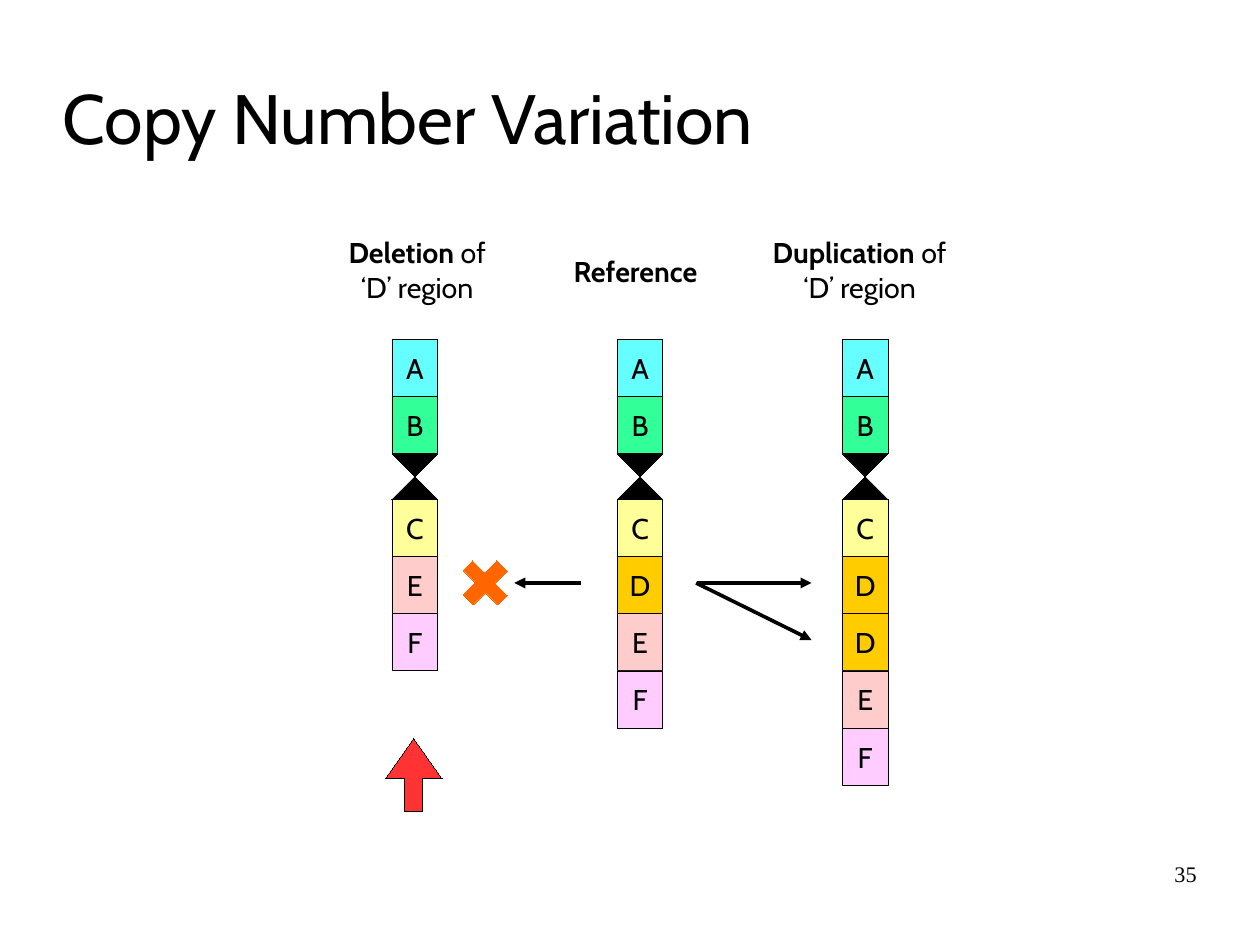
from dataclasses import dataclass

import pptx
import pptx.dml.color
import pptx.enum.shapes
import pptx.enum.text
import pptx.oxml
import pptx.oxml.ns
import pptx.util

Inches = pptx.util.Inches
Pt = pptx.util.Pt
Preset = pptx.enum.shapes.MSO_SHAPE
Align = pptx.enum.text.PP_ALIGN
Anchor = pptx.enum.text.MSO_ANCHOR

COLORS = {
    "ink": "000000", "deleted": "FF6600", "pointer": "FF3333",
    "A": "66FFFF", "B": "33FF99", "C": "FFFF99",
    "D": "FFCC00", "E": "FFCCCC", "F": "FFCCFF",
}
PADDING = {"margin_left": Inches(0.1), "margin_right": Inches(0.1),
           "margin_top": Inches(0.05), "margin_bottom": Inches(0.05)}
NO_PADDING = dict.fromkeys(PADDING, 0)
LABEL_FRAME = {**PADDING, "word_wrap": False}
REGION_FRAME = {**LABEL_FRAME, "vertical_anchor": Anchor.MIDDLE}
LABEL_FONT = {"name": "Cabin", "size": Pt(18), "bold": False}
BOLD_FONT = {**LABEL_FONT, "bold": True}

CM_PER_INCH = 2.54
SLIDE_WIDTH, SLIDE_HEIGHT = 28 / CM_PER_INCH, 21 / CM_PER_INCH
HAIRLINE = 0.01
CHROMOSOME_TOP = 2.97
REGION_WIDTH, REGION_HEIGHT = 0.4, 0.5
CENTROMERE_HALF = 0.2


@dataclass
class Box:
    left: float
    top: float
    width: float
    height: float

    def lengths(self) -> list:
        return [Inches(v) for v in (self.left, self.top, self.width, self.height)]


@dataclass
class Chromosome:
    left: float
    short_arm: str
    long_arm: str
    heading_box: Box
    heading: list  # lines, each a list of (text, font format) runs


@dataclass
class Arrow:
    start: tuple
    end: tuple


REGION_LINE = [("‘D’ region", LABEL_FONT)]
CHROMOSOMES = [
    Chromosome(3.43, "AB", "CEF", Box(2.95, 2.01, 1.4, 0.71),
               [[("Deletion", BOLD_FONT), (" of", LABEL_FONT)], REGION_LINE]),
    Chromosome(5.4, "AB", "CDEF", Box(4.92, 2.17, 1.28, 0.4),
               [[("Reference", BOLD_FONT)]]),
    Chromosome(7.37, "AB", "CDDEF", Box(6.66, 2.01, 1.72, 0.71),
               [[("Duplication", BOLD_FONT), (" of", LABEL_FONT)], REGION_LINE]),
]
ARROWS = [
    Arrow((5.08, 5.1), (4.5, 5.1)),
    Arrow((6.1, 5.1), (7.1, 5.1)),
    Arrow((6.09, 5.1), (7.1, 5.6)),
]


def rgb(name: str) -> pptx.dml.color.RGBColor:
    return pptx.dml.color.RGBColor.from_string(COLORS[name])


def apply_format(target, values: dict) -> None:
    for attribute, value in values.items():
        setattr(target, attribute, value)


def write_lines(shape, lines: list, frame_format: dict, align) -> None:
    frame = shape.text_frame
    apply_format(frame, frame_format)
    for index, line in enumerate(lines):
        paragraph = frame.add_paragraph() if index else frame.paragraphs[0]
        paragraph.alignment = align
        for text, font_format in line:
            run = paragraph.add_run()
            run.text = text
            apply_format(run.font, font_format)
            run.font.color.rgb = rgb("ink")


def add_text(slide, box: Box, lines: list, frame_format: dict, align) -> None:
    write_lines(slide.shapes.add_textbox(*box.lengths()), lines, frame_format, align)


def add_filled(slide, preset, box: Box, fill: str, line: str = "ink",
               line_width: float = HAIRLINE, rotation: float = 0,
               adjustments: tuple = ()):
    shape = slide.shapes.add_shape(preset, *box.lengths())
    shape.shadow.inherit = False
    shape.fill.solid()
    shape.fill.fore_color.rgb = rgb(fill)
    shape.line.color.rgb = rgb(line)
    shape.line.width = Pt(line_width)
    shape.rotation = rotation
    for index, value in enumerate(adjustments):
        shape.adjustments[index] = value
    return shape


def add_arm(slide, left: float, top: float, regions: str) -> float:
    """Stack the regions downwards and return the bottom edge."""
    for region in regions:
        block = add_filled(slide, Preset.RECTANGLE,
                           Box(left, top, REGION_WIDTH, REGION_HEIGHT), region,
                           line_width=0.5)
        write_lines(block, [[(region, LABEL_FONT)]], REGION_FRAME, Align.CENTER)
        top += REGION_HEIGHT
    return top


def add_chromosome(slide, chromosome: Chromosome) -> None:
    top = add_arm(slide, chromosome.left, CHROMOSOME_TOP, chromosome.short_arm)
    for rotation in (180, 0):
        add_filled(slide, Preset.ISOSCELES_TRIANGLE,
                   Box(chromosome.left, top, REGION_WIDTH, CENTROMERE_HALF),
                   "ink", rotation=rotation)
        top += CENTROMERE_HALF
    add_arm(slide, chromosome.left, top, chromosome.long_arm)
    add_text(slide, chromosome.heading_box, chromosome.heading, LABEL_FRAME, Align.CENTER)


def add_arrow(slide, arrow: Arrow) -> None:
    connector = slide.shapes.add_connector(
        pptx.enum.shapes.MSO_CONNECTOR.STRAIGHT,
        *[Inches(v) for v in (*arrow.start, *arrow.end)])
    connector.line.color.rgb = rgb("ink")
    connector.line.width = Pt(2.3)
    head = pptx.oxml.parse_xml(
        f'<a:tailEnd {pptx.oxml.ns.nsdecls("a")} type="triangle"/>')
    connector.line._get_or_add_ln().append(head)
    connector._element.spPr.append(
        pptx.oxml.parse_xml(f'<a:effectLst {pptx.oxml.ns.nsdecls("a")}/>'))


def main() -> None:
    deck = pptx.Presentation()
    deck.slide_width = Inches(SLIDE_WIDTH)
    deck.slide_height = Inches(SLIDE_HEIGHT)
    slide = deck.slides.add_slide(deck.slide_layouts[6])

    add_text(slide, Box(0.55, 0.33, 9.92, 1.38),
             [[("Copy Number Variation", {"name": "Cabin", "size": Pt(44)})]],
             {**NO_PADDING, "word_wrap": True, "vertical_anchor": Anchor.MIDDLE},
             Align.LEFT)
    for chromosome in CHROMOSOMES:
        add_chromosome(slide, chromosome)
    for arrow in ARROWS:
        add_arrow(slide, arrow)
    add_filled(slide, Preset.CROSS, Box(4.03, 4.89, 0.43, 0.42), "deleted",
               line="deleted", rotation=45, adjustments=(0.36,))
    add_filled(slide, Preset.RIGHT_ARROW, Box(3.3, 6.53, 0.64, 0.5), "pointer",
               rotation=270, adjustments=(0.31, 0.71))
    add_text(slide, Box(7.9, 7.53, 2.57, 0.57),
             [[("35", {"name": "Times New Roman", "size": Pt(14)})]],
             {**NO_PADDING, "word_wrap": True}, Align.RIGHT)
    deck.save("out.pptx")


if __name__ == "__main__":
    main()
